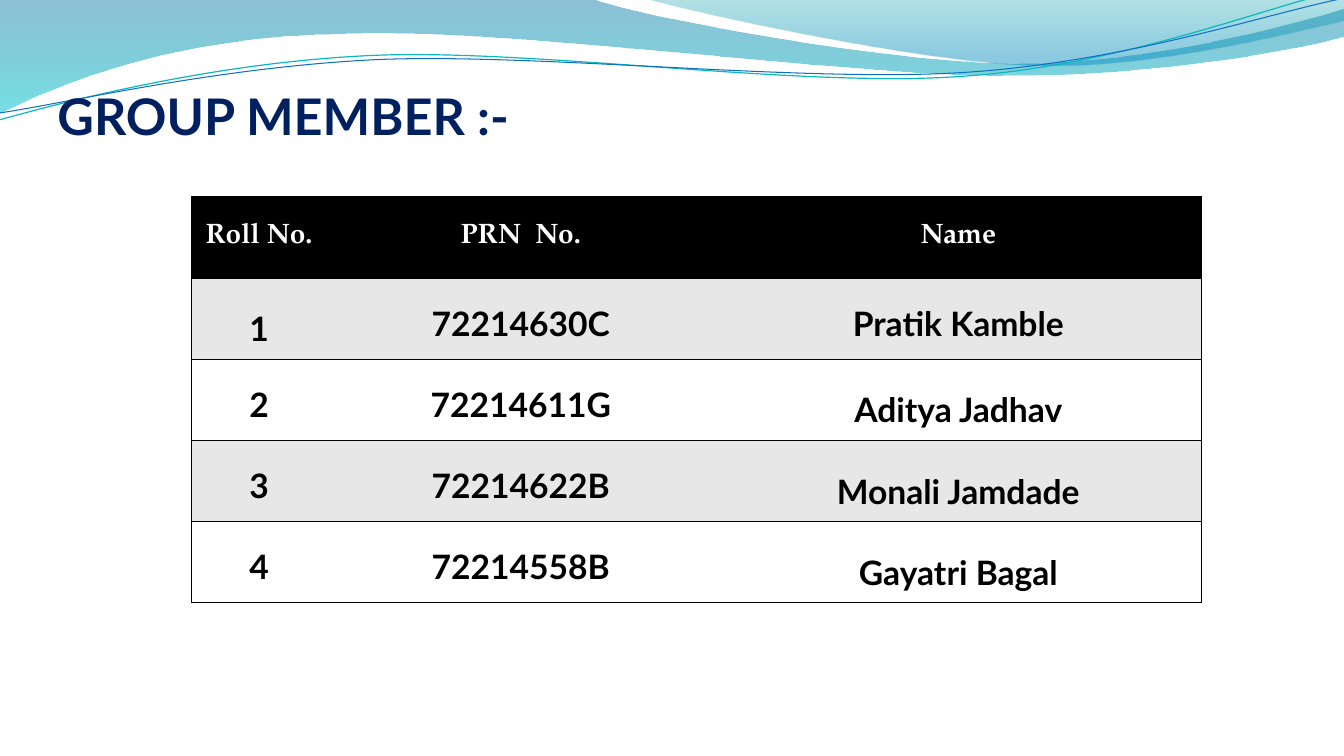
from lxml import etree
from pptx import Presentation
from pptx import util as u
from pptx.dml.color import RGBColor
from pptx.enum import text
from pptx.oxml.ns import qn

COLORS = {"navy": "002060", "black": "000000", "white": "FFFFFF", "band": "E7E7E7",
          "deep": "0074A1", "aqua": "00C6CF", "teal": "00A1A9", "sky": "008BBF",
          "teal_line": "0AB8BF", "blue_line": "0F6FC6"}
TITLE = "GROUP MEMBER :-"
TITLE_BOX = (0, 0.67, 8.7, 0.77)
MEMBERS = [("Roll No.", "PRN  No.", "Name"),
           ("1", "72214630C", "Pratik Kamble"),
           ("2", "72214611G", "Aditya Jadhav"),
           ("3", "72214622B", "Monali Jamdade"),
           ("4", "72214558B", "Gayatri Bagal")]
TABLE_BOX = (1.9, 1.95, 10.02, 4.03)
HEADER_HEIGHT = 0.81
COLUMN_WIDTHS = (1.34, 3.85, 4.83)
MIDDLE_CELLS = {(0, 0), (0, 1), (0, 2), (1, 0), (2, 2), (3, 2), (4, 2)}
HEADER = {"size": u.Pt(20), "name": "TeX Gyre Pagella", "bold": True}
BODY = {"size": u.Pt(24), "name": "Lato", "bold": True}
HEADING = {"size": u.Pt(36), "name": "Lato", "bold": True}

WAVES = [
    {"start": (0, 0), "stops": [(0, "deep", 45), (1, "aqua", 55)],
     "segments": [(5.87, -0.01), (6.34, 0.17, 8.85, 0.63, 10.11, 0.63),
                  (11.38, 0.63, 12.78, 0.26, 13.33, 0.09), (13.35, 0.36),
                  (13.11, 0.44, 11.6, 0.76, 9.94, 0.75),
                  (8.29, 0.75, 5.09, 0.28, 3.43, 0.34),
                  (1.72, 0.36, 0.61, 0.83, -0.01, 1.13), (0, 0)]},
    {"start": (6.39, -0.01), "stops": [(0, "teal", 30), (0.8, "sky", 45)],
     "segments": [(6.79, 0.11, 9.09, 0.62, 10.25, 0.65),
                  (11.41, 0.69, 12.82, 0.32, 13.33, 0.21), (13.33, 0),
                  (6.39, -0.01)]},
    {"start": (-0.01, 1.19), "line": ("teal_line", 0.85),
     "segments": [(0.64, 1.01, 2.11, 0.62, 3.69, 0.55),
                  (5.27, 0.48, 7.9, 0.87, 9.5, 0.76),
                  (11.1, 0.66, 12.52, 0.08, 13.31, -0.1)]},
    {"start": (0, 1.12), "line": ("blue_line", 0.75),
     "segments": [(0.63, 1.03, 2.18, 0.66, 3.78, 0.59),
                  (5.37, 0.53, 7.96, 0.82, 9.55, 0.72),
                  (11.15, 0.62, 12.55, 0.14, 13.34, -0.02)]},
]


def rgb(name):
    """Return the named colour."""
    return RGBColor.from_string(COLORS[name])


def bend(shape, segments):
    """Turn each run of three line points into one cubic curve."""
    lines = iter(list(shape.element.spPr.iter(qn("a:lnTo"))))
    for segment in segments:
        steps = [next(lines) for _ in range(len(segment) // 2)]
        if len(steps) == 3:
            curve = etree.Element(qn("a:cubicBezTo"))
            steps[0].addprevious(curve)
            for step in steps:
                curve.append(step[0])
                step.getparent().remove(step)


def add_wave(slide, wave):
    """Draw a gradient wave or a thin wavy line."""
    points = [(u.Inches(x), u.Inches(y)) for segment in wave["segments"]
              for x, y in zip(segment[::2], segment[1::2])]
    builder = slide.shapes.build_freeform(*map(u.Inches, wave["start"]))
    builder.add_line_segments(points, close="stops" in wave)
    shape = builder.convert_to_shape()
    bend(shape, wave["segments"])
    shape.shadow.inherit = False
    if "line" in wave:
        color, width = wave["line"]
        shape.fill.background()
        shape.line.color.rgb = rgb(color)
        shape.line.width = u.Pt(width)
        return
    shape.line.fill.background()
    shape.fill.gradient()
    shape.fill.gradient_angle = 270
    for stop, (position, color, _) in zip(shape.fill.gradient_stops, wave["stops"]):
        stop.position = position
        stop.color.rgb = rgb(color)
    swatches = shape.element.spPr.iter(qn("a:srgbClr"))
    for swatch, (_, _, opacity) in zip(list(swatches), wave["stops"]):
        etree.SubElement(swatch, qn("a:alpha"), val=str(opacity * 1000))


def write(frame, words, style, color):
    """Put styled words in a text frame and return the paragraph."""
    paragraph = frame.paragraphs[0]
    run = paragraph.add_run()
    run.text = words
    for key, value in style.items():
        setattr(run.font, key, value)
    run.font.color.rgb = rgb(color)
    return paragraph


def add_title(slide):
    """Add the heading."""
    frame = slide.shapes.add_textbox(*map(u.Inches, TITLE_BOX)).text_frame
    settings = {"word_wrap": True, "vertical_anchor": text.MSO_ANCHOR.BOTTOM,
                "margin_left": u.Inches(0.57), "margin_right": 0,
                "margin_top": u.Inches(0.05), "margin_bottom": 0}
    for key, value in settings.items():
        setattr(frame, key, value)
    write(frame, TITLE, HEADING, "navy")


def set_borders(cell, visible):
    """Draw the visible sides of a cell and clear the rest."""
    properties = cell._tc.get_or_add_tcPr()
    for index, side in enumerate("LRTB"):
        line = etree.Element(qn(f"a:ln{side}"), w=str(u.Pt(1)))
        if side in visible:
            fill = etree.SubElement(line, qn("a:solidFill"))
            etree.SubElement(fill, qn("a:srgbClr"), val=COLORS["black"])
        else:
            etree.SubElement(line, qn("a:noFill"))
        properties.insert(index, line)


def add_members(slide):
    """Add the table of members."""
    table = slide.shapes.add_table(len(MEMBERS), len(COLUMN_WIDTHS),
                                   *map(u.Inches, TABLE_BOX)).table
    table.first_row = table.horz_banding = False
    for column, width in zip(table.columns, COLUMN_WIDTHS):
        column.width = u.Inches(width)
    body_height = (TABLE_BOX[3] - HEADER_HEIGHT) / (len(MEMBERS) - 1)
    sides = ("LTB", "TB", "RTB")
    for r, member in enumerate(MEMBERS):
        table.rows[r].height = u.Inches(body_height if r else HEADER_HEIGHT)
        for c, words in enumerate(member):
            cell = table.cell(r, c)
            middle = (r, c) in MIDDLE_CELLS
            cell.vertical_anchor = text.MSO_ANCHOR.MIDDLE if middle else text.MSO_ANCHOR.TOP
            cell.fill.solid()
            cell.fill.fore_color.rgb = rgb("black" if r == 0 else "band" if r % 2 else "white")
            style, color = (BODY, "black") if r else (HEADER, "white")
            paragraph = write(cell.text_frame, words, style, color)
            paragraph.alignment = text.PP_ALIGN.CENTER
            paragraph.line_spacing = 1.5 if r else 1.0
            set_borders(cell, sides[c])


def main():
    """Build the group member slide."""
    presentation = Presentation()
    presentation.slide_width = u.Inches(13.33)
    presentation.slide_height = u.Inches(7.5)
    slide = presentation.slides.add_slide(presentation.slide_layouts[6])
    for wave in WAVES:
        add_wave(slide, wave)
    add_title(slide)
    add_members(slide)
    presentation.save("out.pptx")


if __name__ == "__main__":
    main()
